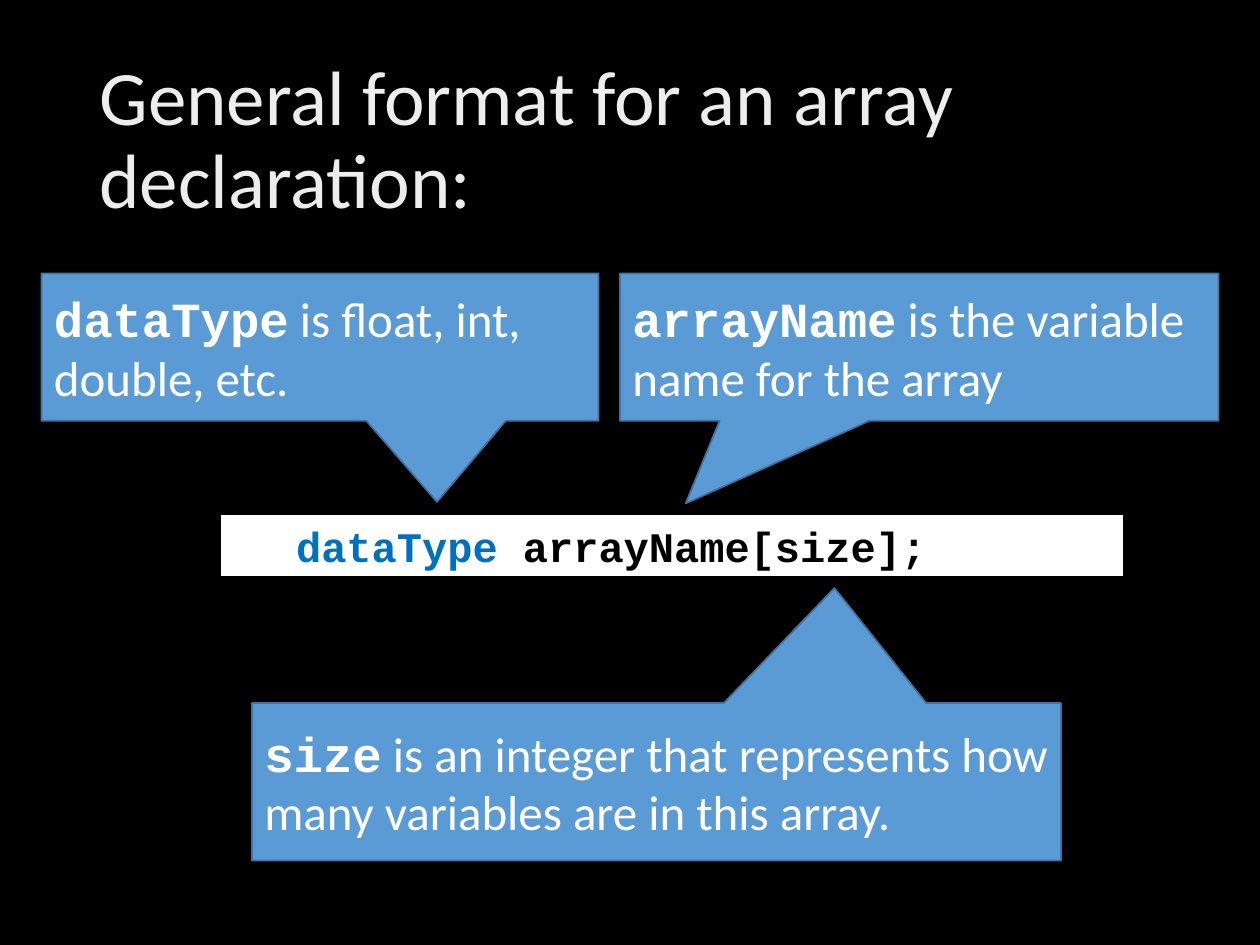
import pptx
import pptx.dml.color
import pptx.enum.shapes
import pptx.enum.text
import pptx.util
from pptx.util import Inches

RGBColor = pptx.dml.color.RGBColor
BLACK = RGBColor(0x00, 0x00, 0x00)
WHITE = RGBColor(0xFF, 0xFF, 0xFF)
TITLE_GREY = RGBColor(0xED, 0xED, 0xED)
CALLOUT_BLUE = RGBColor(0x5B, 0x9B, 0xD5)
CALLOUT_EDGE = RGBColor(0x43, 0x73, 0x9E)
KEYWORD_BLUE = RGBColor(0x00, 0x70, 0xC0)

BODY_FONT = "Calibri"
CODE_FONT = "Courier New"
TITLE_ONLY = 5

# Term, explanation, (left, top, width, height), pointer offset from the centre
CALLOUTS = [
    ("dataType", " is float, int, double, etc.",
     (0.33, 2.17, 4.42, 1.17), (0.21, 1.05)),
    ("arrayName", " is the variable name for the array",
     (4.92, 2.17, 4.75, 1.17), (-0.39, 1.06)),
    ("size", " is an integer that represents how many variables are in this array.",
     (2, 5.58, 6.42, 1.25), (0.22, -1.23)),
]


def add_title(slide, text):
    title = slide.shapes.title
    title.left, title.top = Inches(0.69), Inches(0.4)
    title.width, title.height = Inches(8.62), Inches(1.45)
    frame = title.text_frame
    frame.text = text
    frame.auto_size = pptx.enum.text.MSO_AUTO_SIZE.NONE
    frame.vertical_anchor = pptx.enum.text.MSO_ANCHOR.MIDDLE
    paragraph = frame.paragraphs[0]
    paragraph.alignment = pptx.enum.text.PP_ALIGN.LEFT
    paragraph.line_spacing = 0.9
    paragraph.font.size = pptx.util.Pt(44)
    paragraph.font.name = BODY_FONT
    paragraph.font.color.rgb = TITLE_GREY


def add_panel(slide, kind, box, fill, edge):
    panel = slide.shapes.add_shape(kind, *map(Inches, box))
    panel.shadow.inherit = False
    panel.fill.solid()
    panel.fill.fore_color.rgb = fill
    panel.line.color.rgb = edge
    panel.line.width = pptx.util.Pt(1)
    panel.text_frame.word_wrap = True
    panel.text_frame.paragraphs[0].alignment = pptx.enum.text.PP_ALIGN.LEFT
    return panel


def add_run(paragraph, text, color, size, font=CODE_FONT, bold=True):
    run = paragraph.add_run()
    run.text = text
    run.font.name = font
    run.font.size = pptx.util.Pt(size)
    run.font.bold = bold
    run.font.color.rgb = color


def add_declaration(slide):
    declaration = add_panel(slide, pptx.enum.shapes.MSO_SHAPE.RECTANGLE,
                            (1.75, 4.08, 7.17, 0.5), WHITE, BLACK)
    frame = declaration.text_frame
    frame.margin_left = Inches(0.6)
    frame.vertical_anchor = pptx.enum.text.MSO_ANCHOR.TOP
    add_run(frame.paragraphs[0], "dataType ", KEYWORD_BLUE, 24)
    add_run(frame.paragraphs[0], "arrayName[size];", BLACK, 24)


def add_callout(slide, term, explanation, box, pointer):
    callout = add_panel(slide, pptx.enum.shapes.MSO_SHAPE.RECTANGULAR_CALLOUT,
                        box, CALLOUT_BLUE, CALLOUT_EDGE)
    callout.adjustments[0], callout.adjustments[1] = pointer
    frame = callout.text_frame
    frame.vertical_anchor = pptx.enum.text.MSO_ANCHOR.MIDDLE
    add_run(frame.paragraphs[0], term, WHITE, 28)
    add_run(frame.paragraphs[0], explanation, WHITE, 28, BODY_FONT, False)


def main():
    deck = pptx.Presentation()
    deck.slide_width, deck.slide_height = Inches(10), Inches(7.5)
    slide = deck.slides.add_slide(deck.slide_layouts[TITLE_ONLY])
    slide.background.fill.solid()
    slide.background.fill.fore_color.rgb = BLACK
    add_title(slide, "General format for an array declaration:")
    add_declaration(slide)
    for callout in CALLOUTS:
        add_callout(slide, *callout)
    deck.save("out.pptx")


if __name__ == "__main__":
    main()
